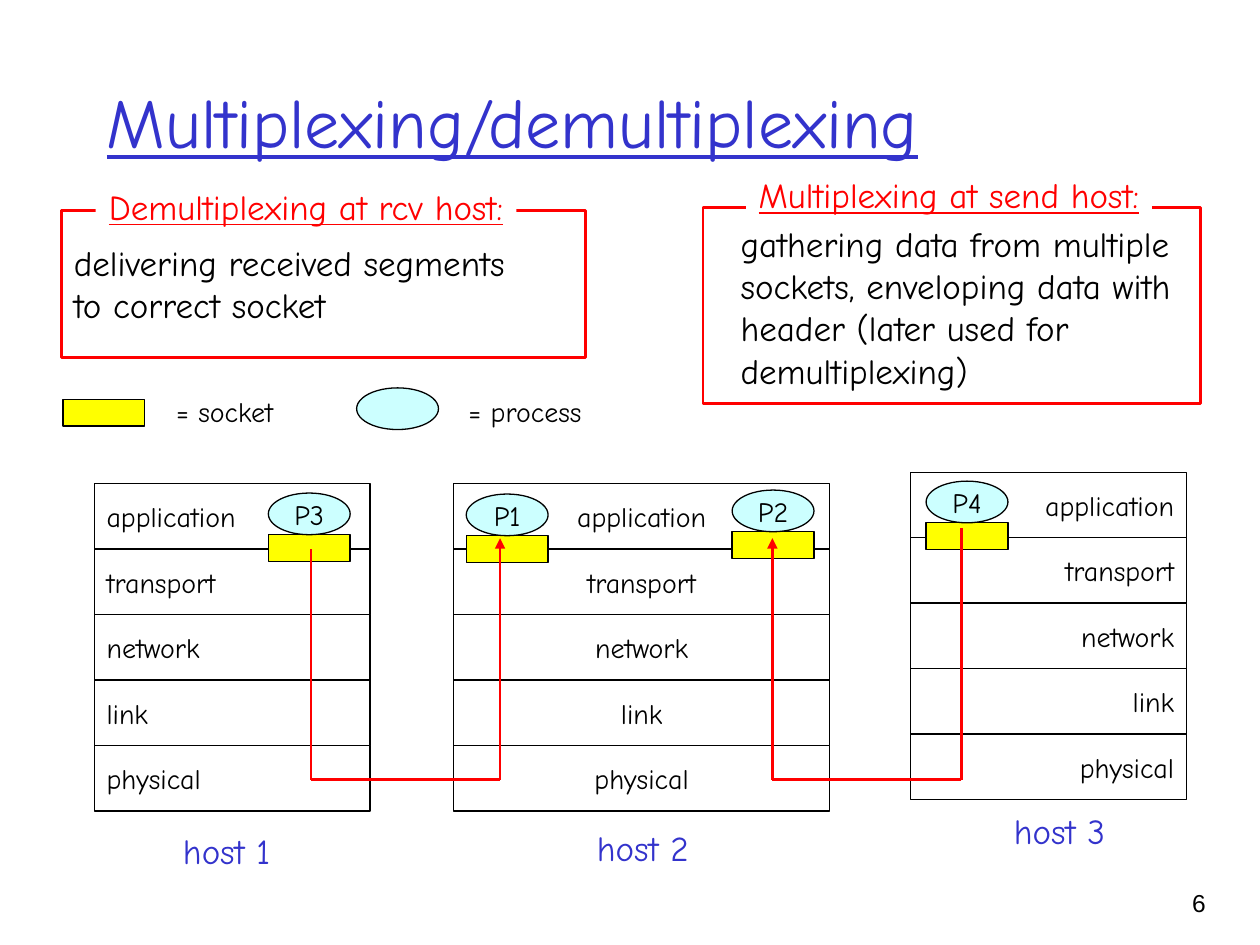
"""Build the slide on transport-layer multiplexing and demultiplexing."""
import pptx
import pptx.dml.color
import pptx.enum.shapes
import pptx.enum.text
import pptx.oxml
import pptx.oxml.ns
import pptx.util

Cm = pptx.util.Cm
ALIGN = pptx.enum.text.PP_ALIGN
ANCHOR = pptx.enum.text.MSO_ANCHOR
SHAPE = pptx.enum.shapes.MSO_SHAPE
COLORS = {"ink": "000000", "paper": "FFFFFF", "title": "3333CC", "accent": "FF0000",
          "socket": "FFFF00", "process": "CCFFFF"}
LAYERS = ["application", "transport", "network", "link", "physical"]
LAYER_HEIGHT = 1.32
SOCKET_WIDTH, SOCKET_HEIGHT, PROCESS_HEIGHT = 1.65, 0.54, 0.84


class SlideBuilder:
    def __init__(self, slide, font="Comic Neue"):
        self.slide = slide
        self.font = font

    def color(self, name):
        return pptx.dml.color.RGBColor.from_string(COLORS[name])

    def set_text(self, shape, text, size=16, color="ink", align=ALIGN.CENTER,
                 anchor=ANCHOR.MIDDLE, underline=False, font=None):
        frame = shape.text_frame
        frame.text = text
        frame.word_wrap = align != ALIGN.CENTER
        frame.auto_size = pptx.enum.text.MSO_AUTO_SIZE.NONE
        frame.vertical_anchor = anchor
        for paragraph in frame.paragraphs:
            paragraph.alignment = align
            for run in paragraph.runs:
                run.font.name = font or self.font
                run.font.size = pptx.util.Pt(size)
                run.font.color.rgb = self.color(color)
                run.font.underline = underline

    def title(self, text, left, top, width, height):
        shape = self.slide.shapes.title
        shape.left, shape.top, shape.width, shape.height = map(Cm, (left, top, width, height))
        self.set_text(shape, text, 40, "title", ALIGN.LEFT, underline=True)

    def label(self, text, left, top, width, height, **style):
        shape = self.slide.shapes.add_textbox(*map(Cm, (left, top, width, height)))
        self.set_text(shape, text, anchor=ANCHOR.TOP, **style)
        return shape

    def box(self, left, top, width, height, fill=None, line="ink", weight=0.75, kind=SHAPE.RECTANGLE):
        shape = self.slide.shapes.add_shape(kind, *map(Cm, (left, top, width, height)))
        shape.shadow.inherit = False
        if fill:
            shape.fill.solid()
            shape.fill.fore_color.rgb = self.color(fill)
        else:
            shape.fill.background()
        shape.line.color.rgb = self.color(line)
        shape.line.width = pptx.util.Pt(weight)
        return shape

    def frame(self, left, top, width, height):
        return self.box(left, top, width, height, line="accent", weight=1.5)

    def heading(self, text, left, top, width):
        shape = self.label(text, left, top, width, 1.12, size=20, color="accent", underline=True)
        shape.fill.solid()
        shape.fill.fore_color.rgb = self.color("paper")

    def host(self, name, left, top, width, align, name_left, name_top):
        for row, layer in enumerate(LAYERS):
            shape = self.box(left, top + row * LAYER_HEIGHT, width, LAYER_HEIGHT, "paper")
            self.set_text(shape, layer, align=align)
        self.label(name, name_left, name_top, 2.34, 1.12, size=20, color="title")

    def socket(self, left, top):
        self.box(left, top, SOCKET_WIDTH, SOCKET_HEIGHT, "socket")

    def process(self, left, top, name=""):
        shape = self.box(left, top, SOCKET_WIDTH, PROCESS_HEIGHT, "process", kind=SHAPE.OVAL)
        if name:
            self.set_text(shape, name)

    def line(self, start, end, arrow=False):
        connector = self.slide.shapes.add_connector(
            pptx.enum.shapes.MSO_CONNECTOR.STRAIGHT, *map(Cm, (*start, *end)))
        connector.line.color.rgb = self.color("accent")
        connector.line.width = pptx.util.Pt(1.5)
        properties = connector._element.spPr
        namespace = pptx.oxml.ns.nsdecls("a")
        if arrow:
            tail = pptx.oxml.parse_xml(f'<a:tailEnd {namespace} type="triangle"/>')
            properties.find(pptx.oxml.ns.qn("a:ln")).append(tail)
        properties.append(pptx.oxml.parse_xml(f"<a:effectLst {namespace}/>"))

    def message(self, source, target, bottom):
        source_corner, target_corner = (source[0], bottom), (target[0], bottom)
        self.line(source, source_corner)
        self.line(source_corner, target_corner)
        self.line(target_corner, target, arrow=True)


def main():
    presentation = pptx.Presentation()
    presentation.slide_width, presentation.slide_height = Cm(25.4), Cm(19.05)
    builder = SlideBuilder(presentation.slides.add_slide(presentation.slide_layouts[5]))

    builder.title("Multiplexing/demultiplexing", 1.9, 0.84, 21.59, 3.18)
    builder.label("6", 22.68, 17.78, 1.88, 1.27, size=14, align=ALIGN.RIGHT, font="Arial")

    builder.host("host 1", 1.9, 9.75, 5.56, ALIGN.LEFT, 3.4, 16.59)
    builder.host("host 2", 9.14, 9.75, 7.59, ALIGN.CENTER, 11.79, 16.54)
    builder.host("host 3", 18.36, 9.52, 5.56, ALIGN.RIGHT, 20.19, 16.2)

    for name, left, top in [("P1", 9.4, 9.96), ("P2", 14.76, 9.88),
                            ("P3", 5.41, 9.94), ("P4", 18.67, 9.7)]:
        builder.socket(left, top + PROCESS_HEIGHT)
        builder.process(left, top, name)

    builder.message((6.27, 11.07), (10.08, 10.85), 15.72)
    builder.message((19.38, 10.64), (15.57, 10.85), 15.72)

    builder.socket(1.27, 8.05)
    builder.label("= socket", 3.3, 7.82, 2.46, 0.94)
    builder.process(7.19, 7.82)
    builder.label("= process", 9.19, 7.82, 2.79, 0.94)

    receiving = builder.frame(1.24, 4.24, 10.57, 2.97)
    builder.set_text(receiving, "delivering received segments\nto correct socket", 20, align=ALIGN.LEFT)
    builder.heading("Demultiplexing at rcv host:", 1.93, 3.61, 8.48)

    builder.label("gathering data from multiple\nsockets, enveloping data with\n"
                  "header (later used for\ndemultiplexing)",
                  14.68, 4.37, 9.45, 3.66, size=20, align=ALIGN.LEFT)
    builder.frame(14.17, 4.19, 10.03, 3.94)
    builder.heading("Multiplexing at send host:", 15.04, 3.38, 8.18)

    presentation.save("out.pptx")


if __name__ == "__main__":
    main()
